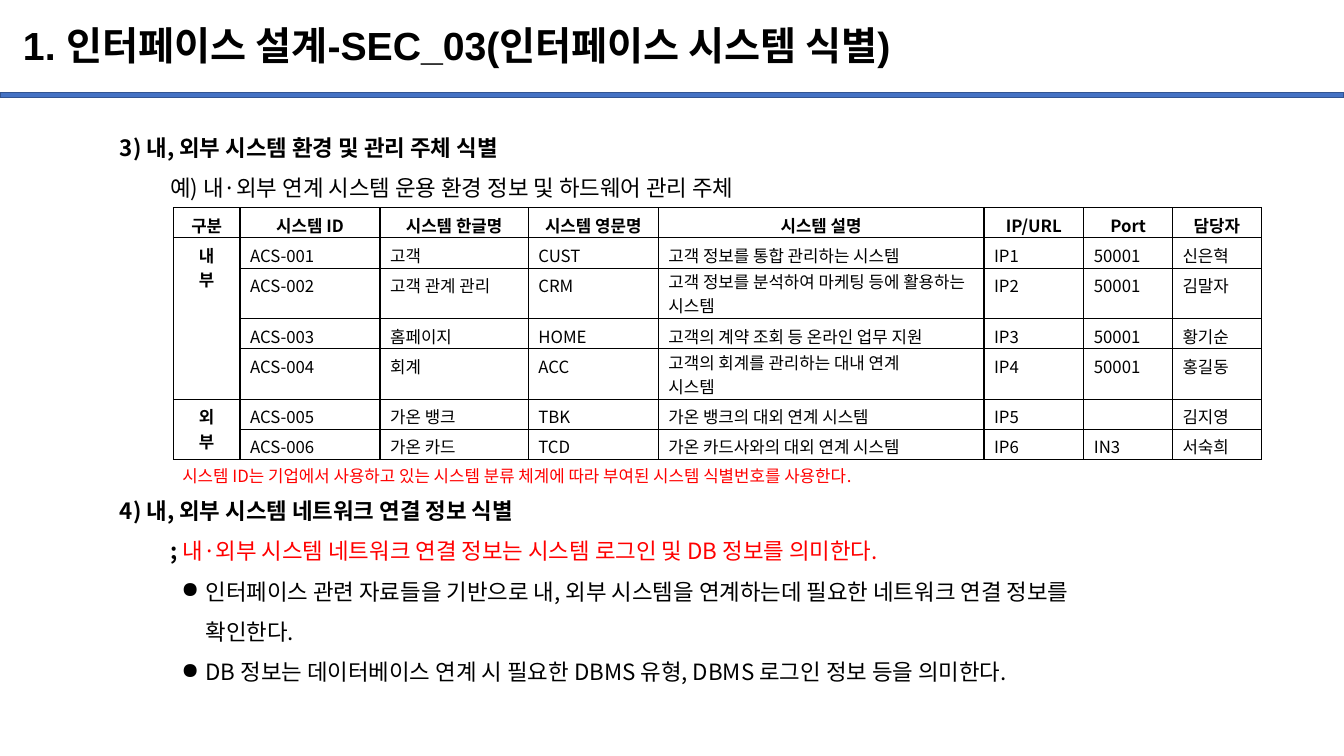
from lxml import etree
from pptx import Presentation
from pptx import util as u
from pptx.dml.color import RGBColor
from pptx.enum import shapes, text
from pptx.oxml.ns import qn

BLACK, RED, WHITE = "000000", "FF0000", "FFFFFF"
BODY_FONT, TITLE_FONT = "Noto Sans CJK KR", "Arial"
BODY_LINE = 28.8  # points from one body line to the next


def color(value):
    return RGBColor.from_string(value)


def grid(count):
    """Columns and rows of the page grid are a tenth of an inch."""
    return u.Inches(count / 10)


class SlideBuilder:
    def __init__(self, page):
        self.page = page

    def style(self, span, size, bold=False, ink=BLACK, face=BODY_FONT):
        font = span.font
        font.size, font.bold, font.name = u.Pt(size), bold, face
        font.color.rgb = color(ink)
        east_asian = etree.Element(qn("a:ea"), typeface=BODY_FONT)
        font._element.find(qn("a:latin")).addnext(east_asian)

    def bar(self, left, top, width, height, fill, line):
        shape = self.page.shapes.add_shape(
            shapes.MSO_SHAPE.RECTANGLE, *map(grid, (left, top, width, height)))
        shape.shadow.inherit = False
        shape.fill.solid()
        shape.fill.fore_color.rgb = color(fill)
        shape.line.color.rgb = color(line)
        shape.line.width = u.Pt(1)

    def text_box(self, left, top, width, height):
        box = self.page.shapes.add_textbox(*map(grid, (left, top, width, height)))
        box.text_frame.word_wrap = True
        return box.text_frame

    def label(self, place, words, size, **look):
        frame = self.text_box(*place)
        frame.text = words
        self.style(frame.paragraphs[0].runs[0], size, **look)
        return frame

    def outline(self, place, items):
        """Each item: indent in columns, bulleted, blank lines before, spans."""
        frame = self.text_box(*place)
        for number, (indent, bulleted, gap, spans) in enumerate(items):
            para = frame.add_paragraph() if number else frame.paragraphs[0]
            para.line_spacing = u.Pt(BODY_LINE)
            para.space_before = u.Pt(gap * BODY_LINE)
            for words, bold, ink in spans:
                for part, line in enumerate(words.split("\n")):
                    if part:
                        para.add_line_break()
                    span = para.add_run()
                    span.text = line
                    self.style(span, 16, bold, ink)
            properties = para._p.get_or_add_pPr()
            properties.set("marL", str(grid(indent)))
            properties.set("indent", str(grid(-2.4) if bulleted else 0))
            if bulleted:
                etree.SubElement(properties, qn("a:buChar"), char="●")

    def cell(self, cell, words, header):
        cell.text = words
        lines = cell.text_frame.paragraphs
        tall = len(lines) > 1 or len(words) > 22
        cell.margin_top = grid(0.1 if tall and not header else 0.5)
        cell.margin_bottom = 0
        for para in lines:
            if header:
                para.alignment = text.PP_ALIGN.CENTER
            for span in para.runs:
                self.style(span, 12, header)
            if not words:
                etree.SubElement(para._p, qn("a:endParaRPr"), sz="1200")
        cell.fill.solid()
        cell.fill.fore_color.rgb = color(WHITE)
        properties = cell._tc.get_or_add_tcPr()
        for place, side in enumerate(("a:lnL", "a:lnR", "a:lnT", "a:lnB")):
            border = etree.Element(qn(side), w=str(u.Pt(1)))
            paint = etree.SubElement(border, qn("a:solidFill"))
            etree.SubElement(paint, qn("a:srgbClr"), val=BLACK)
            properties.insert(place, border)

    def table(self, left, top, columns, heights, rows, merges):
        table = self.page.shapes.add_table(
            len(rows), len(columns), grid(left), grid(top),
            grid(sum(columns)), grid(sum(heights))).table
        for column, width in zip(table.columns, columns):
            column.width = grid(width)
        for row, height in zip(table.rows, heights):
            row.height = grid(height)
        for y, row in enumerate(rows):
            for x, words in enumerate(row):
                self.cell(table.cell(y, x), words, header=y == 0 or x == 0)
        for first, last in merges:
            table.cell(first, 0).merge(table.cell(last, 0))


SYSTEMS = [
    ("구분", "시스템 ID", "시스템 한글명", "시스템 영문명", "시스템 설명",
     "IP/URL", "Port", "담당자"),
    ("내\n부", "ACS-001", "고객", "CUST", "고객 정보를 통합 관리하는 시스템",
     "IP1", "50001", "신은혁"),
    ("", "ACS-002", "고객 관계 관리", "CRM",
     "고객 정보를 분석하여 마케팅 등에 활용하는 시스템", "IP2", "50001", "김말자"),
    ("", "ACS-003", "홈페이지", "HOME", "고객의 계약 조회 등 온라인 업무 지원",
     "IP3", "50001", "황기순"),
    ("", "ACS-004", "회계", "ACC", "고객의 회계를 관리하는 대내 연계\n시스템",
     "IP4", "50001", "홍길동"),
    ("외\n부", "ACS-005", "가온 뱅크", "TBK", "가온 뱅크의 대외 연계 시스템",
     "IP5", "", "김지영"),
    ("", "ACS-006", "가온 카드", "TCD", "가온 카드사와의 대외 연계 시스템",
     "IP6", "IN3", "서숙희"),
]

OUTLINE = [
    (0, False, 0, [("3) 내, 외부 시스템 환경 및 관리 주체 식별", True, BLACK)]),
    (5, False, 0, [("예) 내·외부 연계 시스템 운용 환경 정보 및 하드웨어 관리 주체",
                    False, BLACK)]),
    (0, False, 7, [("4) 내, 외부 시스템 네트워크 연결 정보 식별", True, BLACK)]),
    (5, False, 0, [("; ", True, BLACK),
                   ("내·외부 시스템 네트워크 연결 정보는 시스템 로그인 및 DB 정보를 의미한다.",
                    False, RED)]),
    (8.5, True, 0, [("인터페이스 관련 자료들을 기반으로 내, 외부 시스템을 연계하는데 "
                     "필요한 네트워크 연결 정보를\n확인한다.", False, BLACK)]),
    (8.5, True, 0, [("DB 정보는 데이터베이스 연계 시 필요한 DBMS 유형, "
                     "DBMS 로그인 정보 등을 의미한다.", False, BLACK)]),
]


def main():
    deck = Presentation()
    deck.slide_width, deck.slide_height = u.Inches(13.33), u.Inches(7.5)
    slide = SlideBuilder(deck.slides.add_slide(deck.slide_layouts[6]))

    # Title and rule
    slide.bar(0, 9.2, 133.3, 0.5, "4472C4", "325491")
    title = slide.label((1.3, 1, 115, 7.4), "1. 인터페이스 설계-SEC_03(인터페이스 시스템 식별)",
                        28, bold=True, face=TITLE_FONT)
    title.vertical_anchor = text.MSO_ANCHOR.MIDDLE
    title.paragraphs[0].line_spacing = 0.9

    # Sections 3 and 4, with room for the table between them
    slide.outline((10.9, 11.5, 117.2, 57.6), OUTLINE)

    # System table and its note
    slide.table(17.2, 20.6, (6.6, 13.9, 14.7, 12.9, 32.3, 9.9, 8.8, 8.8),
                (3, 3, 5, 3, 5, 3, 3), SYSTEMS, ((1, 4), (5, 6)))
    slide.label((17.1, 45.7, 100, 3),
                "시스템 ID는 기업에서 사용하고 있는 시스템 분류 체계에 따라 부여된 시스템 식별번호를 사용한다.",
                12, ink=RED)

    deck.save("out.pptx")


if __name__ == "__main__":
    main()
